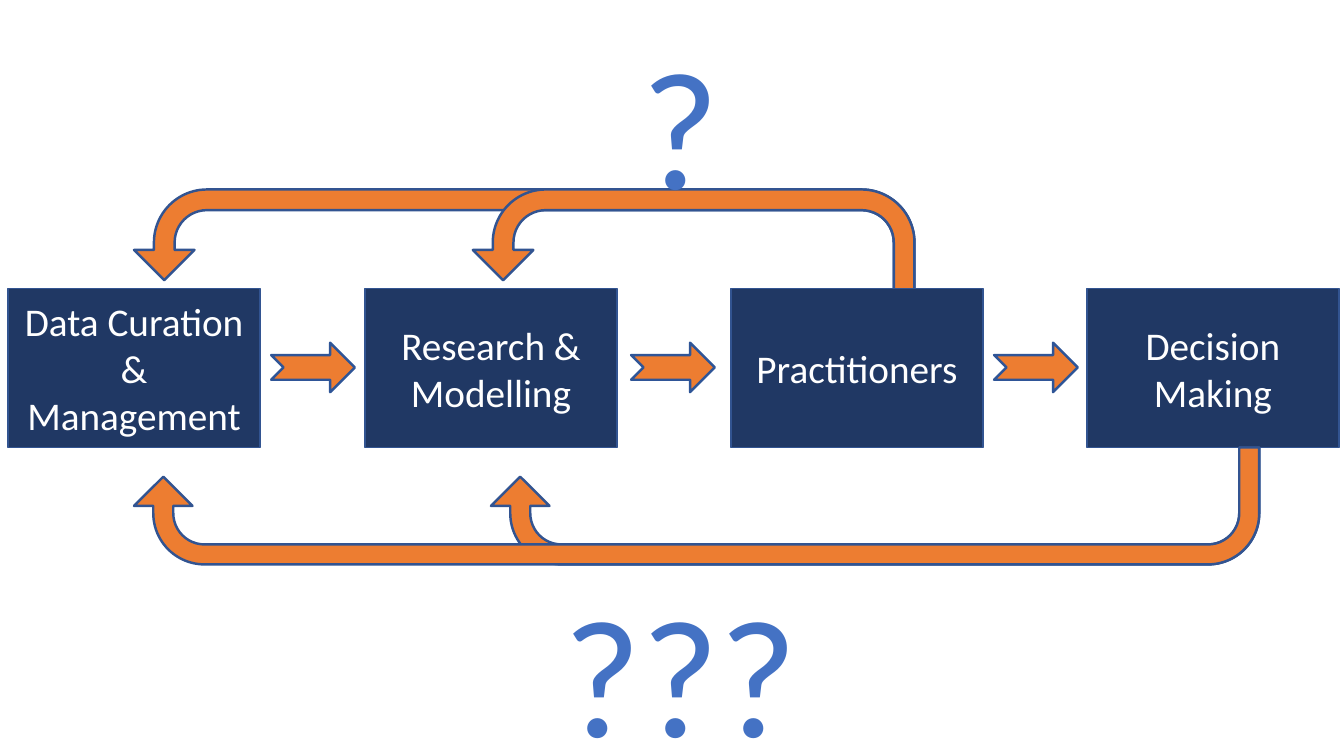
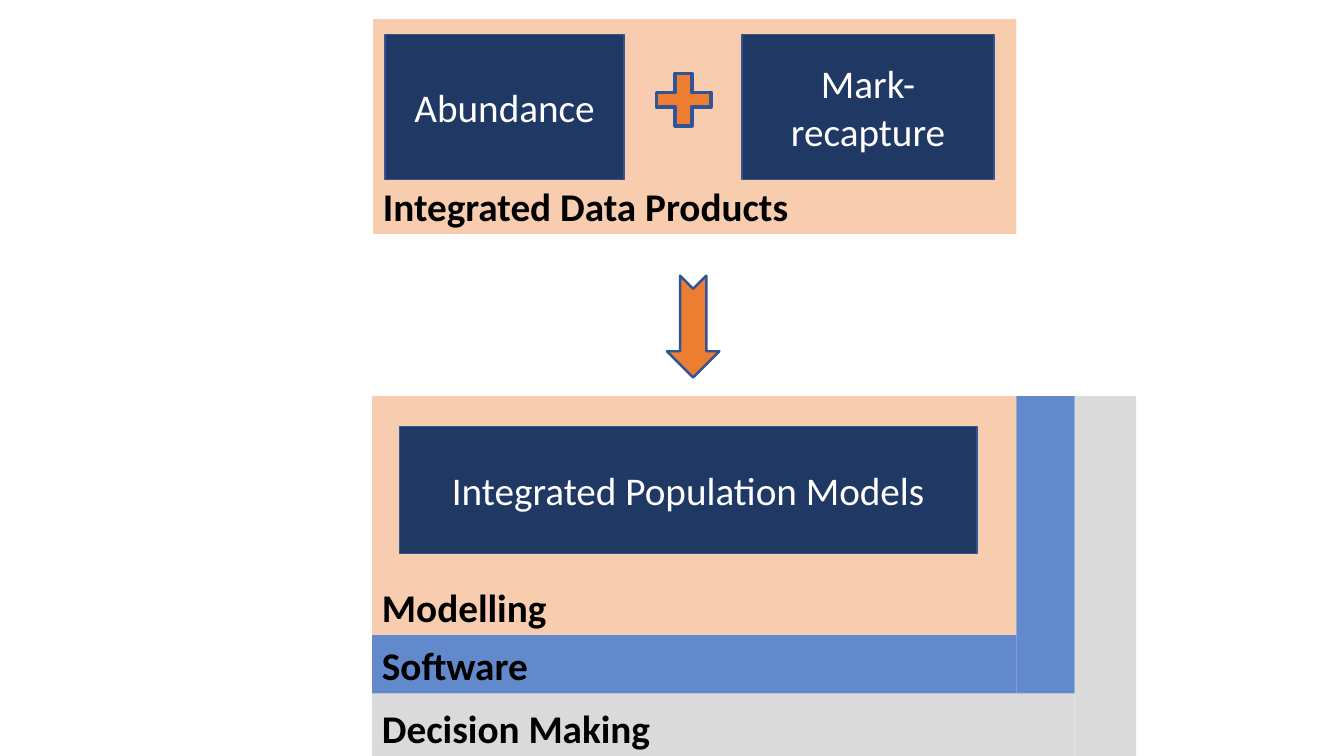
import pptx
import pptx.dml.color
import pptx.enum.shapes
import pptx.enum.text
import pptx.oxml
import pptx.oxml.ns
import pptx.util
from pptx.util import Inches

COLORS = {
    "navy": "203864",
    "edge": "325491",
    "arrow_edge": "2F5597",
    "orange": "ED7D31",
    "blue": "4472C4",
    "gray": "595959",
    "white": "FFFFFF",
    "black": "000000",
}
FONT = "Calibri"
TEXT_SIZE = 28
MARK_SIZE = 120
SHAPES = pptx.enum.shapes.MSO_SHAPE
ANCHOR = pptx.enum.text.MSO_ANCHOR
ALIGN = pptx.enum.text.PP_ALIGN


def rgb(name):
    """Return the named colour."""
    return pptx.dml.color.RGBColor.from_string(COLORS[name])


def add_shape(slide, kind, box, fill, line=None, line_width=1, opacity=None):
    """Add a flat shape in a box of inches (left, top, width, height)."""
    shape = slide.shapes.add_shape(kind, *map(Inches, box))
    shape.shadow.inherit = False
    shape.fill.solid()
    shape.fill.fore_color.rgb = rgb(fill)
    if opacity is not None:
        color = shape.element.spPr.find(".//" + pptx.oxml.ns.qn("a:srgbClr"))
        alpha = pptx.oxml.parse_xml(
            f'<a:alpha {pptx.oxml.ns.nsdecls("a")} val="{opacity * 1000}"/>')
        color.append(alpha)
    if line:
        shape.line.color.rgb = rgb(line)
        shape.line.width = pptx.util.Pt(line_width)
    else:
        shape.line.fill.background()
    return shape


def add_text(shape, text, color, size=TEXT_SIZE, bold=False,
             align=ALIGN.CENTER, anchor=ANCHOR.MIDDLE, wrap=True):
    """Write one run of text in a shape and return the run."""
    frame = shape.text_frame
    frame.word_wrap = wrap
    frame.vertical_anchor = anchor
    paragraph = frame.paragraphs[0]
    paragraph.alignment = align
    run = paragraph.add_run()
    run.text = text
    run.font.name = FONT
    run.font.size = pptx.util.Pt(size)
    run.font.bold = bold
    run.font.color.rgb = rgb(color)
    return run


def add_block(slide, box, text):
    """Add a navy block with centred white text."""
    block = add_shape(slide, SHAPES.RECTANGLE, box, "navy", "edge")
    add_text(block, text, "white")


def add_band(slide, box, fill, opacity, label=None):
    """Add a translucent band, labelled at its bottom left."""
    band = add_shape(slide, SHAPES.RECTANGLE, box, fill, opacity=opacity)
    if label:
        add_text(band, label, "black", bold=True,
                 align=ALIGN.LEFT, anchor=ANCHOR.BOTTOM)


def add_step_arrow(slide, box, rotation=0):
    """Add a notched arrow that leads to the next step."""
    arrow = add_shape(slide, SHAPES.NOTCHED_RIGHT_ARROW, box,
                      "orange", "arrow_edge", 1.75)
    arrow.rotation = rotation


def add_feedback_arrow(slide, box, below=False):
    """Add a U-turn arrow back to the left, above or below the steps."""
    arrow = add_shape(slide, SHAPES.U_TURN_ARROW, box, "orange", "edge", 1.75)
    for index, value in enumerate((0.171, 0.25, 0.25, 0.438, 0.75)):
        arrow.adjustments[index] = value
    transform = arrow.element.spPr.find(pptx.oxml.ns.qn("a:xfrm"))
    transform.set("flipH", "1")
    if below:
        transform.set("flipV", "1")


def add_question(slide, box, text):
    """Add large outlined question marks."""
    question = slide.shapes.add_textbox(*map(Inches, box))
    run = add_text(question, text, "blue", MARK_SIZE,
                   anchor=ANCHOR.TOP, wrap=False)
    question.text_frame.auto_size = pptx.enum.text.MSO_AUTO_SIZE.SHAPE_TO_FIT_TEXT
    outline = pptx.oxml.parse_xml(
        f'<a:ln {pptx.oxml.ns.nsdecls("a")} w="{pptx.util.Pt(2.25)}"><a:solidFill>'
        f'<a:srgbClr val="{COLORS["orange"]}"/></a:solidFill></a:ln>')
    run.font.fill  # the run properties already hold the text fill
    run._r.get_or_add_rPr().insert(0, outline)


def add_process(slide, box):
    """Add the row of steps with the feedback arrows above and below it."""
    left, top, width, height = box
    step_width = 2.5
    bottom = top + height
    right = left + width
    steps = (("Data Curation & Management", 0), ("Research & Modelling", 3.54),
             ("Practitioners", 7.17), ("Decision Making", width - step_width))

    upper_end = left + 8.99
    for start in (left + 1.25, left + 4.61):
        add_feedback_arrow(slide, (start, top - 0.98, upper_end - start, 1.2))
    for text, offset in steps:
        add_block(slide, (left + offset, top, step_width, height), text)
    for offset in (2.61, 6.18, 9.78):
        add_step_arrow(slide, (left + offset, top + 0.54, 0.83, 0.49))
    lower_end = right - 0.79
    for start in (left + 4.79, left + 1.25):
        add_feedback_arrow(slide, (start, bottom, lower_end - start, 1.16), below=True)


def add_data_products(slide, box):
    """Add the two data sources joined by a plus sign."""
    left, top, width, height = box
    add_band(slide, box, "orange", 39, "Integrated Data Products")
    for text, offset, block_width in (("Abundance", 0.12, 2.37),
                                      ("Mark-recapture", 3.66, 2.5)):
        add_block(slide, (left + offset, top + 0.15, block_width, 1.44), text)
    plus = add_shape(slide, SHAPES.CROSS, (left + 2.81, top + 0.54, 0.54, 0.52),
                     "orange", "arrow_edge", 2.5)
    plus.adjustments[0] = 0.361


def add_model_layers(slide, box):
    """Add the modelling area, wrapped on two sides by each outer layer."""
    left, top, width, height = box
    add_band(slide, box, "orange", 39, "Modelling")
    add_block(slide, (left + 0.27, top + 0.3, 5.73, 1.26),
              "Integrated Population Models")
    for label, fill, opacity, side, base in (
            ("Software", "blue", 83, 0.58, 0.58),
            ("Decision Making", "gray", 22, 0.61, 0.62)):
        add_band(slide, (left, top + height, width, base), fill, opacity, label)
        height += base
        add_band(slide, (left + width, top, side, height), fill, opacity)
        width += side


def build_feedback_slide(slide):
    """Show the process and its uncertain feedback."""
    add_process(slide, (0.08, 2.86, 13.2, 1.58))
    add_question(slide, (6.26, 0.16, 0.98, 2.12), "?")
    add_question(slide, (5.48, 5.6, 2.54, 2.12), "???")


def build_integration_slide(slide):
    """Show data products feeding the layered models."""
    add_data_products(slide, (3.7, 0.19, 6.38, 2.13))
    add_step_arrow(slide, (6.37, 2.98, 1.01, 0.52), rotation=90)
    add_model_layers(slide, (3.69, 3.93, 6.39, 2.37))


def main():
    """Build and save the presentation."""
    presentation = pptx.Presentation()
    presentation.slide_width = Inches(13.33)
    presentation.slide_height = Inches(7.5)
    blank_layout = presentation.slide_layouts[6]
    for build in (build_feedback_slide, build_integration_slide):
        build(presentation.slides.add_slide(blank_layout))
    presentation.save("out.pptx")


main()
